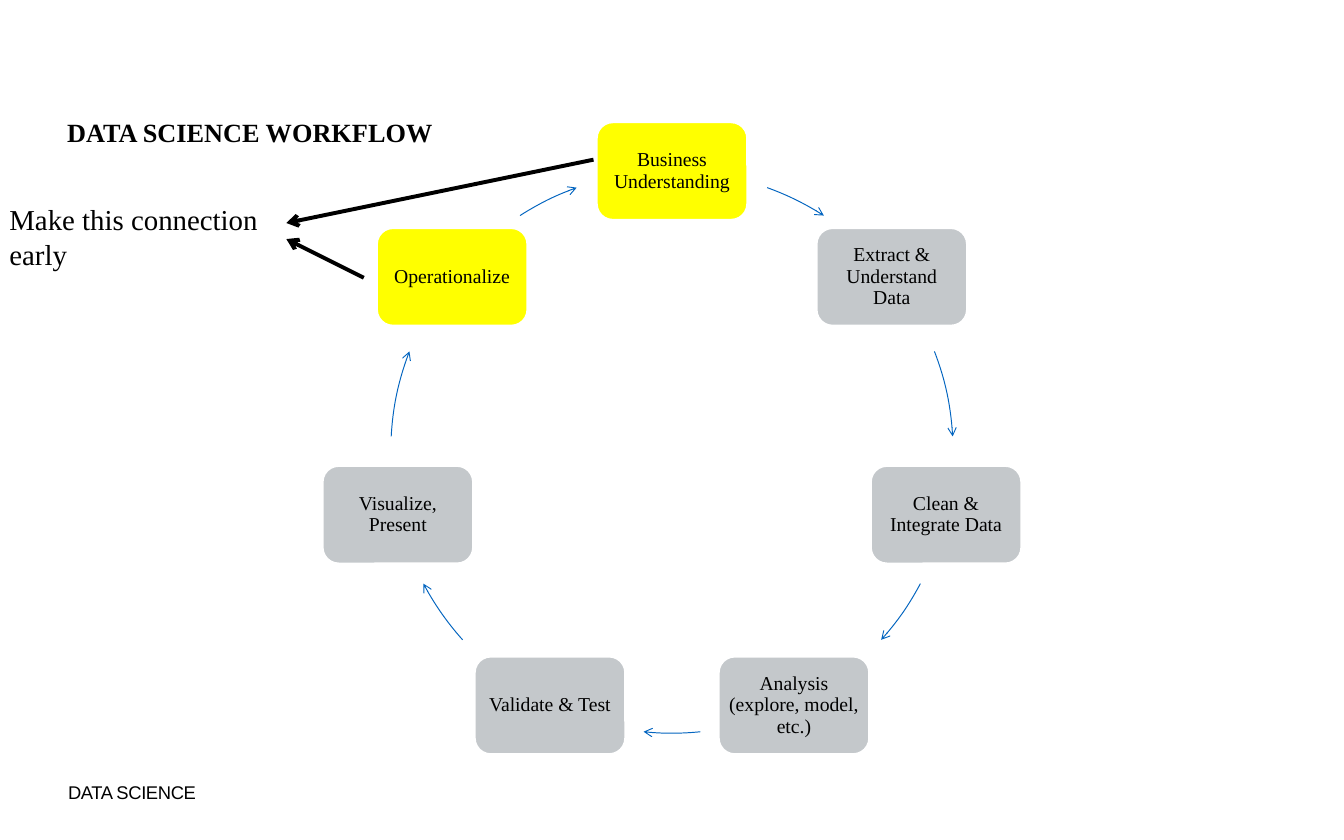
from dataclasses import dataclass
from math import cos, radians, sin

from lxml.etree import SubElement
from pptx import Presentation
from pptx.dml.color import RGBColor
from pptx.enum.shapes import MSO_CONNECTOR, MSO_SHAPE
from pptx.enum.text import MSO_ANCHOR, MSO_AUTO_SIZE, PP_ALIGN
from pptx.oxml.ns import qn
from pptx.util import Inches, Pt


@dataclass(frozen=True)
class Theme:
    """Colours, fonts and type sizes of the slide."""
    ink: str = "000000"
    paper: str = "FFFFFF"
    focus: str = "FFFF00"
    step: str = "C4C8CB"
    arc: str = "0365C0"
    serif: str = "Times New Roman"
    sans: str = "Arial"
    title: int = 20
    note: int = 22
    label: int = 15
    footer: int = 14


T = Theme()
W, H = Inches(14.22), Inches(8.89)
STEPS = [
    ("Business Understanding", T.focus),
    ("Extract & Understand Data", T.step),
    ("Clean & Integrate Data", T.step),
    ("Analysis (explore, model, etc.)", T.step),
    ("Validate & Test", T.step),
    ("Visualize, Present", T.step),
    ("Operationalize", T.focus),
]
RIGHT_ARCS = [(19.8, 32.7), (69, 86.8), (117.9, 131.9)]
BOTTOM_ARC = (174.2, 185.8)


def across(percent):
    """Return a share of the slide width."""
    return round(W * percent / 100)


def down(percent):
    """Return a share of the slide height."""
    return round(H * percent / 100)


CX, CY, RADIUS = across(50), down(53.83), across(20.92)


def add_run(tf, text, size, font=T.serif, bold=False):
    """Write one run in the first paragraph and return both."""
    p = tf.paragraphs[0]
    r = p.add_run()
    r.text = text
    r.font.name, r.font.size, r.font.bold = font, Pt(size), bold
    r.font.color.rgb = RGBColor.from_string(T.ink)
    return p, r


def set_insets(tf, inset):
    """Wrap the text and give all four sides the same inset."""
    tf.word_wrap = True
    tf.margin_left = tf.margin_right = Inches(inset)
    tf.margin_top = tf.margin_bottom = Inches(inset)


def add_text(s, box, text, size, inset=0, spacing=1.0, **style):
    """Add a text box placed in percent of the slide."""
    x, y, w, h = box
    tf = s.shapes.add_textbox(across(x), down(y), across(w), down(h)).text_frame
    set_insets(tf, inset)
    tf.auto_size = MSO_AUTO_SIZE.SHAPE_TO_FIT_TEXT
    p, r = add_run(tf, text, size, **style)
    p.line_spacing = spacing
    return tf, r


def set_line(sp, color, width, arrow=False):
    """Set the outline, with an arrowhead at its end on request."""
    sp.line.color.rgb = RGBColor.from_string(color)
    sp.line.width = Pt(width)
    if arrow:
        SubElement(sp.line._get_or_add_ln(), qn("a:tailEnd"), type="arrow")


def add_step(s, angle, text, color):
    """Add a step box centred on the cycle at a clockwise angle from the top."""
    w, h = across(11.25), down(11.7)
    x = CX + RADIUS * sin(radians(angle)) - w / 2
    y = CY - RADIUS * cos(radians(angle)) - h / 2
    sp = s.shapes.add_shape(MSO_SHAPE.ROUNDED_RECTANGLE, round(x), round(y), w, h)
    sp.shadow.inherit = False
    sp.fill.solid()
    sp.fill.fore_color.rgb = RGBColor.from_string(color)
    set_line(sp, T.paper, 2)
    tf = sp.text_frame
    set_insets(tf, 0.06)
    tf.vertical_anchor = MSO_ANCHOR.MIDDLE
    p, _ = add_run(tf, text, T.label)
    p.alignment, p.line_spacing = PP_ALIGN.CENTER, 0.9


def add_arc(s, start, end):
    """Add a curved arrow on the cycle between two clockwise angles from the top."""
    sp = s.shapes.add_shape(
        MSO_SHAPE.ARC, CX - RADIUS, CY - RADIUS, 2 * RADIUS, 2 * RADIUS)
    sp.shadow.inherit = False
    sp.fill.background()
    for i, angle in enumerate((start, end)):
        sp.adjustments[i] = (angle - 90) % 360 * 0.6
    set_line(sp, T.arc, 0.75, arrow=True)


def add_arrow(s, start, end):
    """Add a straight arrow between two points in percent of the slide."""
    (x1, y1), (x2, y2) = start, end
    cx = s.shapes.add_connector(
        MSO_CONNECTOR.STRAIGHT, across(x1), down(y1), across(x2), down(y2))
    set_line(cx, T.ink, 3, arrow=True)
    SubElement(cx._element.spPr, qn("a:effectLst"))


def add_cycle(s):
    """Add the step boxes and the arrows between them."""
    left_arcs = [(360 - end, 360 - start) for start, end in reversed(RIGHT_ARCS)]
    arcs = [*RIGHT_ARCS, BOTTOM_ARC, *left_arcs]
    for i, ((text, color), arc) in enumerate(zip(STEPS, arcs)):
        add_step(s, 360 * i / len(STEPS), text, color)
        add_arc(s, *arc)


def main():
    """Build and save the workflow slide."""
    prs = Presentation()
    prs.slide_width, prs.slide_height = W, H
    s = prs.slides.add_slide(prs.slide_layouts[6])
    _, r = add_text(s, (5.06, 93.81, 44.02, 1.69), "DATA SCIENCE", T.footer,
                    spacing=0.65, font=T.sans)
    r.font._element.set("spc", "-30")
    add_text(s, (4.99, 13.5, 90.37, 3.82), "DATA SCIENCE WORKFLOW", T.title,
             spacing=1.1, bold=True)
    add_cycle(s)
    add_arrow(s, (44.16, 19.01), (21.31, 26.55))
    add_arrow(s, (27.07, 33.07), (21.31, 28.46))
    tf, _ = add_text(s, (0.28, 23.4, 21.1, 9.56), "Make this connection early",
                     T.note, inset=0.06)
    tf.vertical_anchor = MSO_ANCHOR.MIDDLE
    prs.save("out.pptx")


if __name__ == "__main__":
    main()
